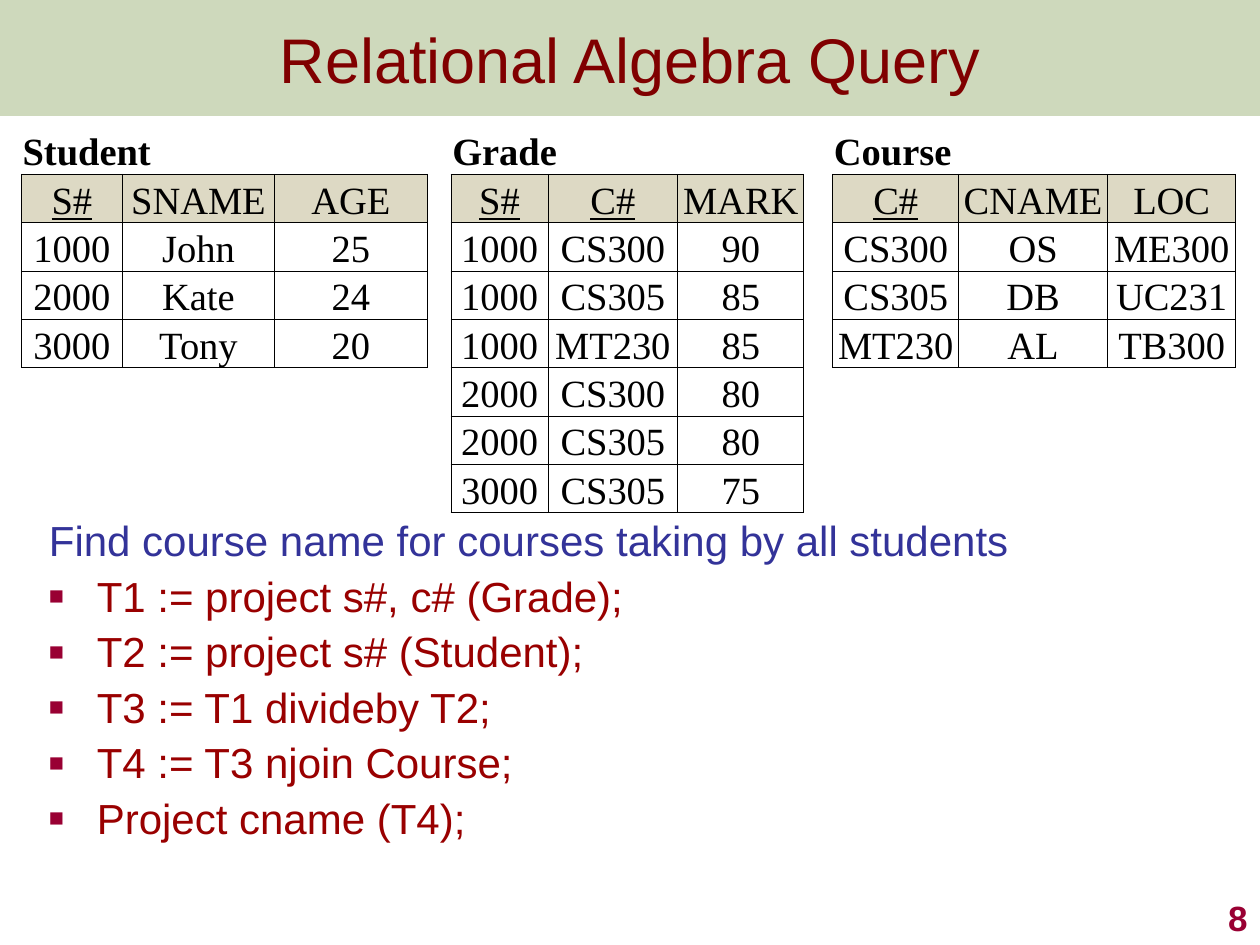
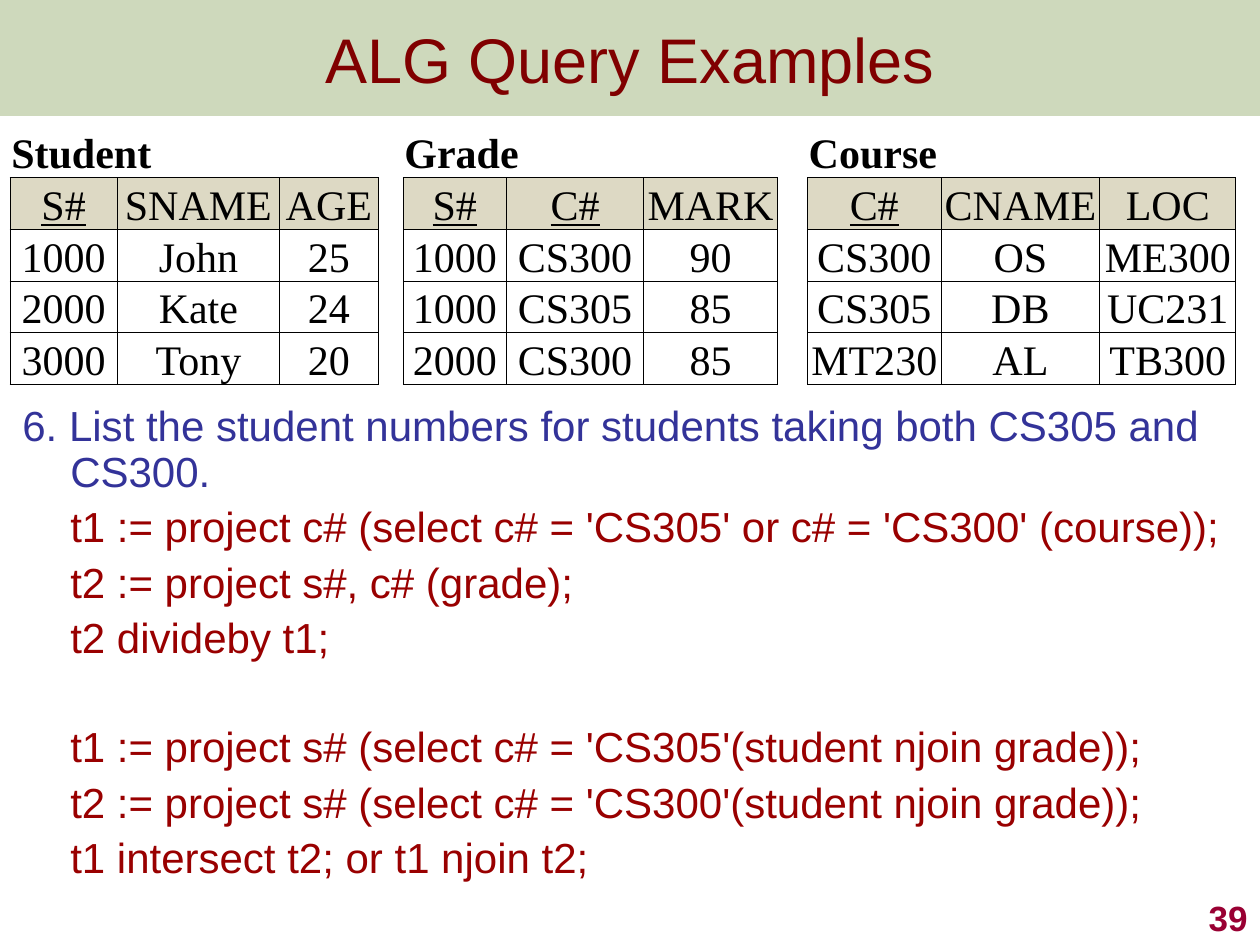
from dataclasses import dataclass

from lxml import etree
from pptx import Presentation
from pptx.dml.color import RGBColor
from pptx.enum.shapes import MSO_SHAPE
from pptx.enum.text import MSO_ANCHOR, PP_ALIGN
from pptx.oxml.ns import qn
from pptx.util import Inches, Pt

RECTANGLE = MSO_SHAPE.RECTANGLE
MIDDLE, BOTTOM = MSO_ANCHOR.MIDDLE, MSO_ANCHOR.BOTTOM
LEFT, CENTER, RIGHT = PP_ALIGN.LEFT, PP_ALIGN.CENTER, PP_ALIGN.RIGHT


@dataclass(frozen=True)
class Theme:
    band: str = "5F8422"
    band_opacity: int = 30
    title: str = "800000"
    question: str = "333399"
    code: str = "990000"
    accent: str = "990033"
    header_fill: str = "DDD9C4"
    cell_fill: str = "FFFFFF"
    ink: str = "000000"
    sans: str = "Arial"
    serif: str = "Times New Roman"
    title_size: int = 36
    body_size: int = 24
    number_size: int = 20
    border: float = 0.5
    indent: float = 0.38
    line_spacing: float = 0.9
    paragraph_gap: float = 5.8
    group_gap: float = 36.4


THEME = Theme()
COLUMNS_PER_RELATION = 3
RELATION_STEP = COLUMNS_PER_RELATION + 1  # one empty column between relations

STUDENT = ("Student", ["S# SNAME AGE", "1000 John 25", "2000 Kate 24", "3000 Tony 20"])
COURSE = ("Course", ["C# CNAME LOC", "CS300 OS ME300", "CS305 DB UC231",
                     "MT230 AL TB300"])
LONG_GRADE = ("Grade", ["S# C# MARK", "1000 CS300 90", "1000 CS305 85",
                        "1000 MT230 85", "2000 CS300 80", "2000 CS305 80",
                        "3000 CS305 75"])
SHORT_GRADE = ("Grade", ["S# C# MARK", "1000 CS300 90", "1000 CS305 85",
                         "2000 CS300 85"])


def style_font(paragraph, font_name, size, color, bold=False, underline=False):
    font = paragraph.font
    font.name, font.size = font_name, Pt(size)
    font.bold, font.underline = bold, underline
    font.color.rgb = RGBColor.from_string(color)


def add_title_band(slide, text):
    band = slide.shapes.add_shape(RECTANGLE, 0, 0, Inches(10), Inches(0.92))
    band.shadow.inherit = False
    band.line.fill.background()
    band.fill.solid()
    band.fill.fore_color.rgb = RGBColor.from_string(THEME.band)
    color = band.fill._xPr.find(qn("a:solidFill"))[0]
    etree.SubElement(color, qn("a:alpha"), val=str(THEME.band_opacity * 1000))
    band.text_frame.vertical_anchor = MIDDLE
    paragraph = band.text_frame.paragraphs[0]
    paragraph.text, paragraph.alignment = text, CENTER
    style_font(paragraph, THEME.sans, THEME.title_size, THEME.title)


def add_slide_number(slide, number):
    box = slide.shapes.add_textbox(Inches(7.92), Inches(7), Inches(2.08), Inches(0.5))
    box.text_frame.word_wrap = True
    box.text_frame.vertical_anchor = BOTTOM
    paragraph = box.text_frame.paragraphs[0]
    paragraph.text, paragraph.alignment = str(number), RIGHT
    style_font(paragraph, THEME.sans, THEME.number_size, THEME.accent, bold=True)


# Query text
def set_indent(paragraph, hanging):
    properties = paragraph._p.get_or_add_pPr()
    properties.set("marL", str(Inches(THEME.indent)))
    properties.set("indent", str(-Inches(THEME.indent) if hanging else 0))


def add_square_bullet(paragraph):
    properties = paragraph._p.get_or_add_pPr()
    color = etree.SubElement(properties, qn("a:buClr"))
    etree.SubElement(color, qn("a:srgbClr"), val=THEME.accent)
    etree.SubElement(properties, qn("a:buSzPct"), val="60000")
    etree.SubElement(properties, qn("a:buFont"), typeface=THEME.sans)
    etree.SubElement(properties, qn("a:buChar"), char="■")


def add_query(slide, bounds, question, step_groups, bulleted=False):
    box = slide.shapes.add_textbox(*map(Inches, bounds))
    frame = box.text_frame
    frame.word_wrap = True
    frame.margin_right = 0
    paragraph = frame.paragraphs[0]
    paragraph.text = question
    paragraph.line_spacing = THEME.line_spacing
    set_indent(paragraph, hanging=True)
    style_font(paragraph, THEME.sans, THEME.body_size, THEME.question)

    for group_index, steps in enumerate(step_groups):
        for step_index, step in enumerate(steps):
            paragraph = frame.add_paragraph()
            paragraph.text = step
            paragraph.line_spacing = THEME.line_spacing
            starts_later_group = group_index > 0 and step_index == 0
            paragraph.space_before = Pt(
                THEME.group_gap if starts_later_group else THEME.paragraph_gap)
            set_indent(paragraph, hanging=bulleted)
            if bulleted:
                add_square_bullet(paragraph)
            style_font(paragraph, THEME.sans, THEME.body_size, THEME.code)


# Relation tables
def fill_cell(cell, text, size, fill, alignment=CENTER, bold=False, underline=False):
    cell.fill.solid()
    cell.fill.fore_color.rgb = RGBColor.from_string(fill)
    paragraph = cell.text_frame.paragraphs[0]
    paragraph.text, paragraph.alignment = text, alignment
    style_font(paragraph, THEME.serif, size, THEME.ink, bold, underline)


def set_borders(cell, drawn_sides):
    """Draw the named sides (L, R, T, B) and clear the others."""
    properties = cell._tc.get_or_add_tcPr()
    for position, side in enumerate("LRTB"):
        line = etree.Element(qn(f"a:ln{side}"), w=str(Pt(THEME.border)))
        if side in drawn_sides:
            fill = etree.SubElement(line, qn("a:solidFill"))
            etree.SubElement(fill, qn("a:srgbClr"), val=THEME.ink)
        else:
            etree.SubElement(line, qn("a:noFill"))
        properties.insert(position, line)


def add_relations(slide, left, relations, widths, row_height, size):
    row_count = 1 + max(len(rows) for _, rows in relations)
    frame = slide.shapes.add_table(
        row_count, len(widths), Inches(left), Inches(1),
        Inches(sum(widths)), Inches(row_height * row_count))
    table = frame.table
    table.first_row = table.horz_banding = False
    for column, width in zip(table.columns, widths):
        column.width = Inches(width)
    for row in table.rows:
        row.height = Inches(row_height)

    # Empty base, so that the gaps never stretch a row
    for cell in table.iter_cells():
        cell.fill.background()
        cell.vertical_anchor = BOTTOM
        cell.margin_left = cell.margin_right = cell.margin_top = Inches(0.01)
        cell.margin_bottom = 0
        cell.text_frame.paragraphs[0].font.size = Pt(size)

    # Names, headers and values
    grid = set()
    for index, (name, rows) in enumerate(relations):
        first = index * RELATION_STEP
        name_cell = table.cell(0, first)
        name_cell.merge(table.cell(0, first + COLUMNS_PER_RELATION - 1))
        fill_cell(name_cell, name, size, THEME.cell_fill, LEFT, bold=True)
        for row_index, row in enumerate(rows, start=1):
            is_header = row_index == 1
            for column_index, value in enumerate(row.split(), start=first):
                grid.add((row_index, column_index))
                fill_cell(table.cell(row_index, column_index), value, size,
                          THEME.header_fill if is_header else THEME.cell_fill,
                          underline=is_header and value.endswith("#"))

    # A side is drawn where the cell or its neighbour holds data
    for row in range(row_count):
        for column in range(len(widths)):
            neighbours = {"L": (row, column - 1), "R": (row, column + 1),
                          "T": (row - 1, column), "B": (row + 1, column)}
            drawn = [side for side, neighbour in neighbours.items()
                     if (row, column) in grid or neighbour in grid]
            set_borders(table.cell(row, column), drawn)


def add_base_slide(presentation, title, number):
    slide = presentation.slides.add_slide(presentation.slide_layouts[6])
    add_title_band(slide, title)
    add_slide_number(slide, number)
    return slide


def main():
    presentation = Presentation()
    presentation.slide_width, presentation.slide_height = Inches(10), Inches(7.5)

    # Division over all students
    slide = add_base_slide(presentation, "Relational Algebra Query", 8)
    add_query(slide, (0.29, 4.08, 9.07, 2.75),
              "Find course name for courses taking by all students",
              [["T1 := project s#, c# (Grade);",
                "T2 := project s# (Student);",
                "T3 := T1 divideby T2;",
                "T4 := T3 njoin Course;",
                "Project cname (T4);"]], bulleted=True)
    add_relations(slide, 0.17, [STUDENT, LONG_GRADE, COURSE],
                  [0.8, 1.21, 1.21, 0.19, 0.77, 1.03, 1, 0.23, 1, 1.18, 1.02],
                  row_height=3.07 / 8, size=22)

    # Students taking both courses
    slide = add_base_slide(presentation, "ALG Query Examples", 39)
    add_query(slide, (0.08, 3.17, 9.74, 4.33),
              "6. List the student numbers for students taking both CS305 and CS300.",
              [["t1 := project c# (select c# = 'CS305' or c# = 'CS300' (course));",
                "t2 := project s#, c# (grade);",
                "t2 divideby t1;"],
               ["t1 := project s# (select c# = 'CS305'(student njoin grade));",
                "t2 := project s# (select c# = 'CS300'(student njoin grade));",
                "t1 intersect t2; or t1 njoin t2;"]])
    add_relations(slide, 0.08, [STUDENT, SHORT_GRADE, COURSE],
                  [0.85, 1.29, 0.78, 0.2, 0.82, 1.09, 1.06, 0.24, 1.06, 1.26, 1.08],
                  row_height=0.38, size=24)

    presentation.save("out.pptx")


if __name__ == "__main__":
    main()
